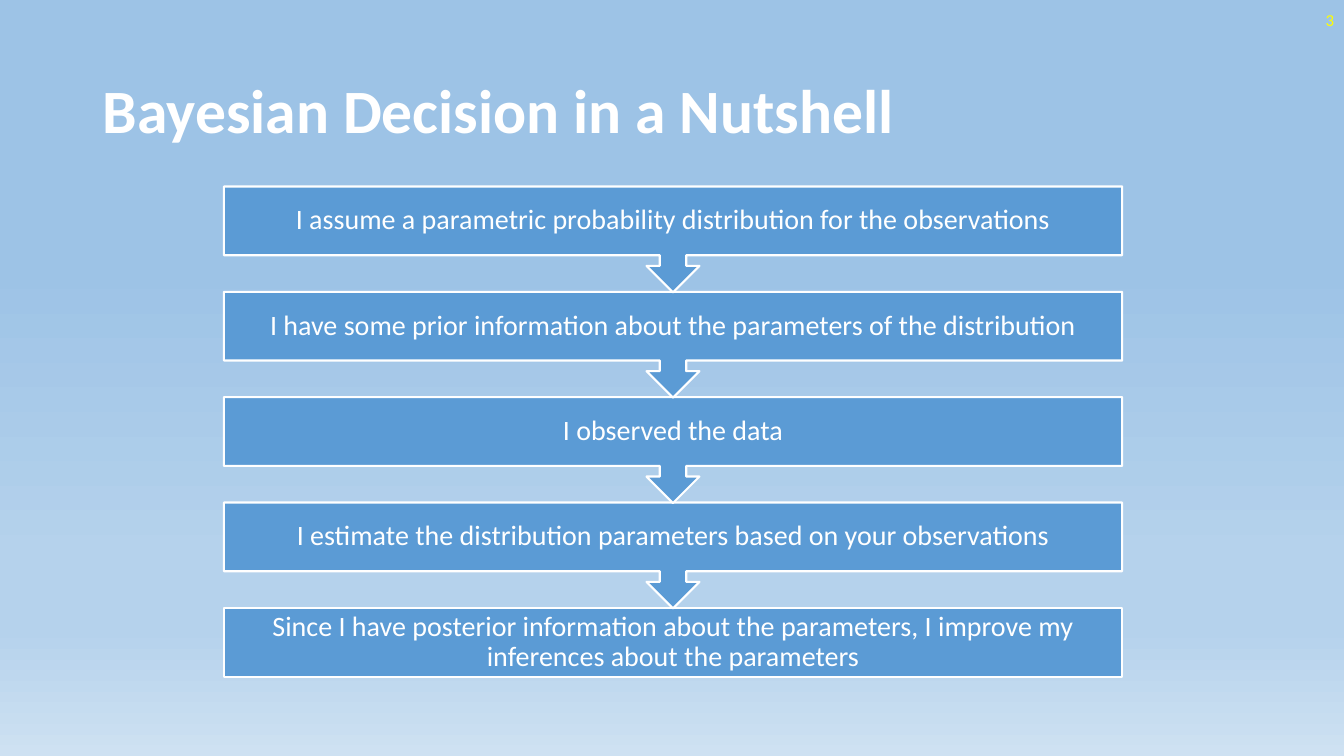
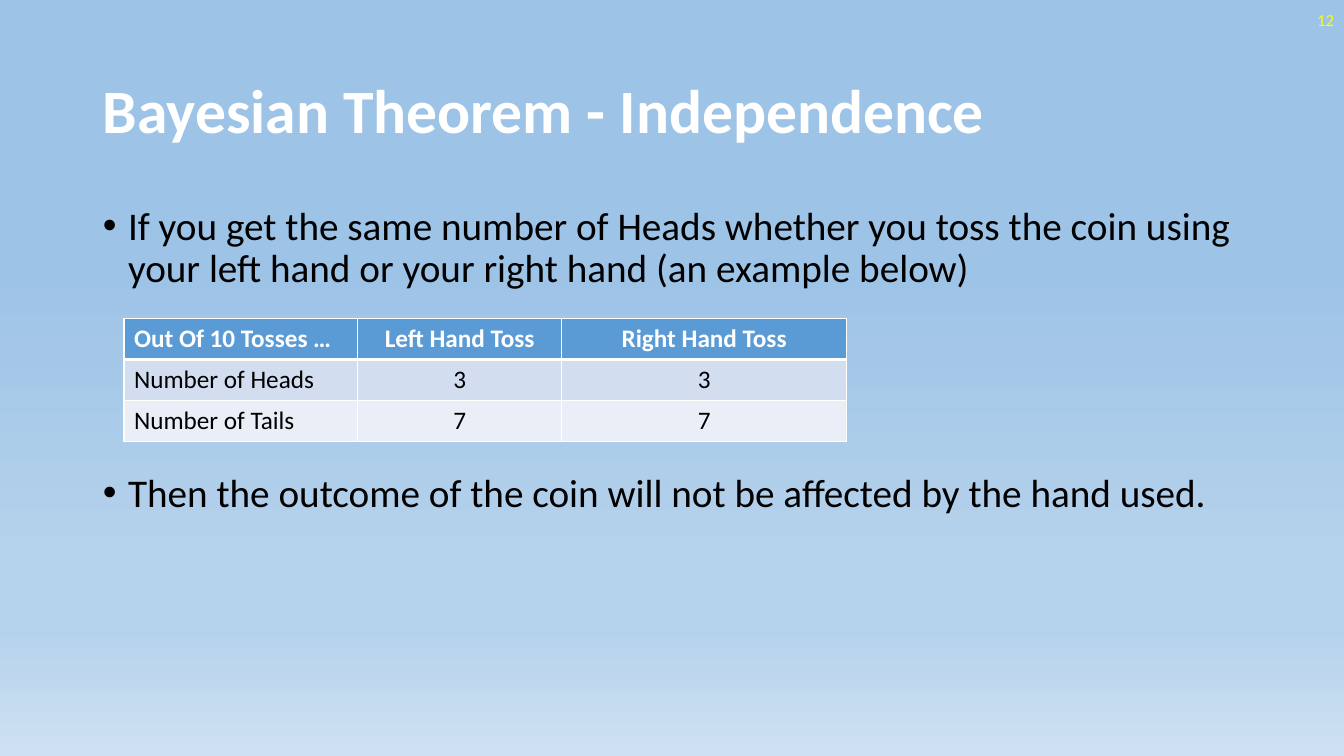
"""Build two slides on Bayesian decisions and independence."""
from dataclasses import dataclass

import pptx
import pptx.dml.color
import pptx.enum.shapes
import pptx.enum.text
import pptx.oxml
import pptx.oxml.ns
import pptx.util

Inches, Pt = pptx.util.Inches, pptx.util.Pt
ALIGN, ANCHOR = pptx.enum.text.PP_ALIGN, pptx.enum.text.MSO_ANCHOR
SHAPE = pptx.enum.shapes.MSO_SHAPE
qn = pptx.oxml.ns.qn


@dataclass(frozen=True)
class Theme:
    font: str = "Calibri"
    white: str = "FFFFFF"
    black: str = "000000"
    yellow: str = "FFFF00"
    blue: str = "5B9BD5"
    bands: tuple = ("D2DEEF", "EAEFF7")
    sky: tuple = ((35, "9DC3E6"), (74, "B5D2EC"), (83, "B5D2EC"), (100, "CEE1F2"))
    title: int = 44
    body: int = 28
    step: int = 20
    cell: int = 18
    page: int = 12


THEME = Theme()

FLOW = {
    "title": "Bayesian Decision in a Nutshell",
    "page": "3",
    "steps": [
        "I assume a parametric probability distribution for the observations",
        "I have some prior information about the parameters of the distribution",
        "I observed the data",
        "I estimate the distribution parameters based on your observations",
        "Since I have posterior information about the parameters, "
        "I improve my inferences about the parameters",
    ],
}
COIN = {
    "title": "Bayesian Theorem - Independence",
    "page": "12",
    "points": [
        ("If you get the same number of Heads whether you toss the coin using "
         "your left hand or your right hand (an example below)", 0),
        ("Then the outcome of the coin will not be affected by the hand used.", 130),
    ],
    "table": [
        ("Out Of 10 Tosses …", "Left Hand Toss", "Right Hand Toss"),
        ("Number of Heads", "3", "3"),
        ("Number of Tails", "7", "7"),
    ],
    "widths": (2.32, 2.02, 2.83),
}


def rgb(code):
    return pptx.dml.color.RGBColor.from_string(code)


def place(shape, left, top, width, height):
    shape.left, shape.top = Inches(left), Inches(top)
    shape.width, shape.height = Inches(width), Inches(height)


def write(para, text, size, color, bold=False, align=ALIGN.LEFT, lines=0.9):
    para.alignment, para.line_spacing = align, lines
    run = para.add_run()
    run.text = text
    font = run.font
    font.name, font.size, font.bold = THEME.font, Pt(size), bold
    font.color.rgb = rgb(color)


def setup(frame, anchor):
    frame.word_wrap = True
    frame.auto_size = pptx.enum.text.MSO_AUTO_SIZE.NONE
    frame.vertical_anchor = anchor
    return frame.paragraphs[0]


def paint(master):
    fill = master.background.fill
    fill.gradient()
    fill.gradient_angle = 270
    stops = master.element.find(".//" + qn("a:gsLst"))
    for old in list(stops):
        stops.remove(old)
    for pos, color in THEME.sky:
        stop = stops.makeelement(qn("a:gs"), {"pos": str(pos * 1000)})
        stop.append(stop.makeelement(qn("a:srgbClr"), {"val": color}))
        stops.append(stop)


def start(deck, layout, data):
    slide = deck.slides.add_slide(deck.slide_layouts[layout])
    title = slide.shapes.title
    place(title, 0.92, 0.4, 11.5, 1.45)
    write(setup(title.text_frame, ANCHOR.MIDDLE), data["title"],
          THEME.title, THEME.white, bold=True)
    page = slide.shapes.add_textbox(Inches(10.33), 0, Inches(3), Inches(0.4))
    write(setup(page.text_frame, ANCHOR.MIDDLE), data["page"],
          THEME.page, THEME.yellow, align=ALIGN.RIGHT, lines=1.0)
    return slide


def add_flow(slide, steps):
    top, pitch, box = 1.85, 1.045, 0.69
    last = len(steps) - 1
    for num, text in reversed(list(enumerate(steps))):
        kind, high = ((SHAPE.RECTANGLE, box) if num == last
                      else (SHAPE.DOWN_ARROW_CALLOUT, 1.05))
        shape = slide.shapes.add_shape(kind, Inches(2.22), Inches(top + num * pitch),
                                       Inches(8.91), Inches(high))
        shape.shadow.inherit = False
        shape.fill.solid()
        shape.fill.fore_color.rgb = rgb(THEME.blue)
        shape.line.color.rgb = rgb(THEME.white)
        shape.line.width = Pt(1.5)
        frame = shape.text_frame
        frame.margin_left = frame.margin_right = Inches(0.16)
        frame.margin_top = frame.margin_bottom = 0
        write(setup(frame, ANCHOR.MIDDLE), text, THEME.step, THEME.white,
              align=ALIGN.CENTER)


def add_points(slide, points):
    body = slide.placeholders[1]
    place(body, 0.92, 2, 11.5, 4.76)
    para = setup(body.text_frame, ANCHOR.TOP)
    for num, (text, gap) in enumerate(points):
        if num:
            para = body.text_frame.add_paragraph()
        props = para._p.get_or_add_pPr()
        props.set("marL", str(Inches(0.25)))
        props.set("indent", str(-Inches(0.25)))
        para.space_before = Pt(gap)
        write(para, text, THEME.body, THEME.black)


def border(cell, sides):
    props = cell._tc.get_or_add_tcPr()
    for num, (side, width) in enumerate(sides.items()):
        props.insert(num, pptx.oxml.parse_xml(
            f'<a:ln{side} {pptx.oxml.ns.nsdecls("a")} w="{Pt(width)}"><a:solidFill>'
            f'<a:srgbClr val="{THEME.white}"/></a:solidFill></a:ln{side}>'))


def add_grid(slide, rows, widths):
    high = 0.405
    table = slide.shapes.add_table(
        len(rows), len(widths), Inches(1.23), Inches(3.16),
        Inches(sum(widths)), Inches(high * len(rows))).table
    for col, width in zip(table.columns, widths):
        col.width = Inches(width)
    fills = (THEME.blue, *THEME.bands)
    for i, row in enumerate(rows):
        table.rows[i].height = Inches(high)
        head = i == 0
        for j, text in enumerate(row):
            cell = table.cell(i, j)
            border(cell, {"L": 1, "R": 1, "T": 3 if i == 1 else 1,
                          "B": 3 if head else 1})
            cell.fill.solid()
            cell.fill.fore_color.rgb = rgb(fills[i])
            write(cell.text_frame.paragraphs[0], text, THEME.cell,
                  THEME.white if head else THEME.black, bold=head,
                  align=ALIGN.CENTER if j else ALIGN.LEFT, lines=1.0)


def main():
    deck = pptx.Presentation()
    deck.slide_width, deck.slide_height = Inches(13.33), Inches(7.5)
    paint(deck.slide_master)
    add_flow(start(deck, 5, FLOW), FLOW["steps"])
    slide = start(deck, 1, COIN)
    add_points(slide, COIN["points"])
    add_grid(slide, COIN["table"], COIN["widths"])
    deck.save("out.pptx")


if __name__ == "__main__":
    main()
